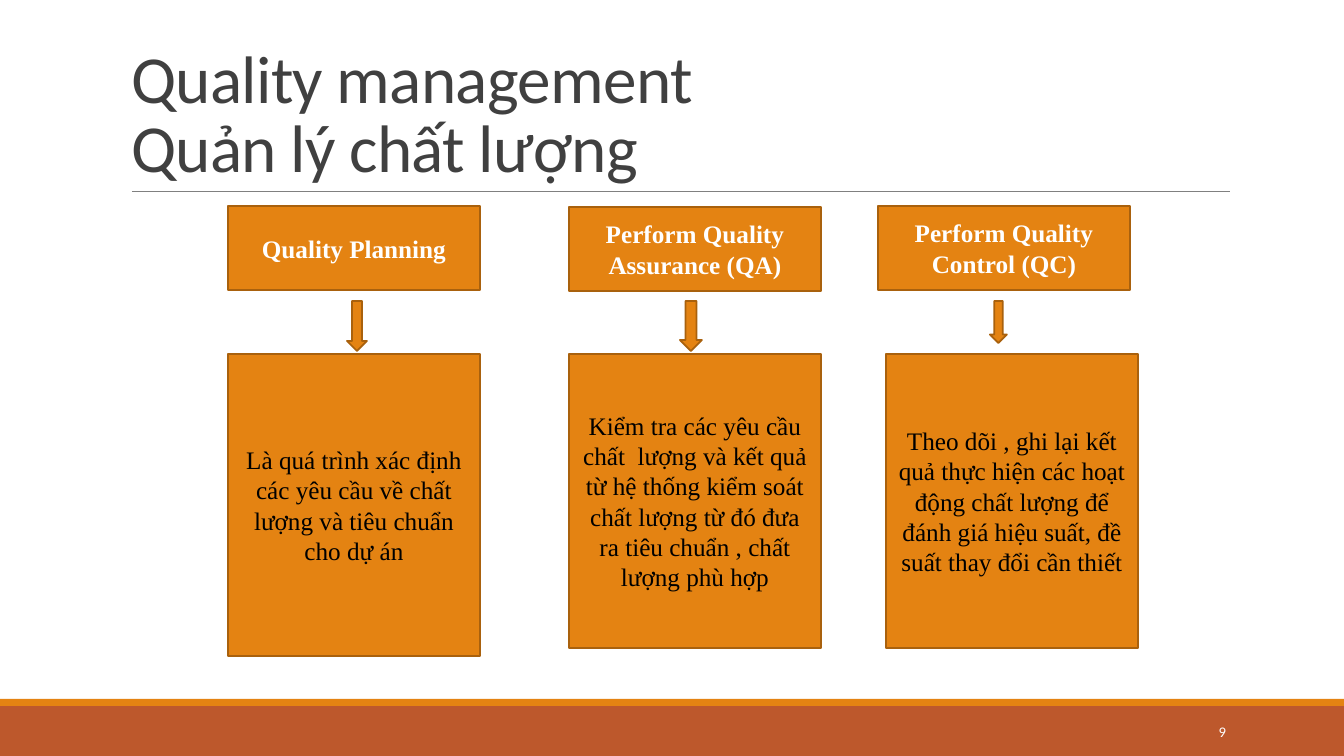
import pptx
import pptx.util
import pptx.dml.color
import pptx.enum.shapes
import pptx.enum.text
import pptx.oxml.ns
import lxml.etree

RGBColor = pptx.dml.color.RGBColor
ORANGE = RGBColor(0xE4, 0x83, 0x12)
DARK_ORANGE = RGBColor(0xA9, 0x61, 0x0D)
RUST = RGBColor(0xBD, 0x58, 0x2C)
GRAY = RGBColor(0x80, 0x80, 0x80)
CHARCOAL = RGBColor(0x40, 0x40, 0x40)
WHITE = RGBColor(0xFF, 0xFF, 0xFF)
BLACK = RGBColor(0, 0, 0)

SHAPE = pptx.enum.shapes.MSO_SHAPE
ALIGN = pptx.enum.text.PP_ALIGN
ANCHOR = pptx.enum.text.MSO_ANCHOR

TITLE = "Quality management \vQuản lý chất lượng"
PAGE_NUMBER = "9"
# Boxes and arrows are (left, top, width, height) in px.
PROCESSES = [
    {
        "name": "Quality Planning",
        "description": "Là quá trình xác định các yêu cầu về chất lượng và tiêu chuẩn cho dự án",
        "header": (228, 206, 252, 84),
        "arrow": (347, 301, 20, 50),
        "body": (228, 354, 252, 302),
    },
    {
        "name": "Perform Quality Assurance (QA)",
        "description": "Kiểm tra các yêu cầu chất  lượng và kết quả từ hệ thống kiểm soát "
                       "chất lượng từ đó đưa ra tiêu chuẩn , chất lượng phù hợp",
        "header": (569, 207, 252, 84),
        "arrow": (680, 301, 22, 50),
        "body": (569, 354, 252, 294),
    },
    {
        "name": "Perform Quality Control (QC)",
        "description": "Theo dõi , ghi lại kết quả thực hiện các hoạt động chất lượng để "
                       "đánh giá hiệu suất, đề suất thay đổi cần thiết",
        "header": (878, 206, 252, 84),
        "arrow": (990, 301, 17, 42),
        "body": (886, 354, 252, 294),
    },
]
SLIDE_WIDTH, SLIDE_HEIGHT = 1344, 756
BANDS = [((0, 706, SLIDE_WIDTH, 50), RUST), ((0, 699, SLIDE_WIDTH, 7), ORANGE)]
TITLE_BOX = (121, 31, 1109, 160)
PAGE_NUMBER_BOX = (1092, 712, 144, 40)
RULE = (132, 191, 1230, 191)

HEADER_FONT = {"name": "Times New Roman", "size": pptx.util.Pt(18), "bold": True}
BODY_FONT = {"name": "Times New Roman", "size": pptx.util.Pt(18), "bold": False}
TITLE_FONT = {"name": "Calibri", "size": pptx.util.Pt(48)}
PAGE_NUMBER_FONT = {"name": "Calibri", "size": pptx.util.Pt(10.5)}


def px(lengths):
    """Turn px lengths into EMU, at 100.8 px to the inch."""
    return [pptx.util.Inches(length / 100.8) for length in lengths]


def write(shape, text, font, color, alignment, anchor):
    frame = shape.text_frame
    frame.word_wrap = True
    frame.auto_size = pptx.enum.text.MSO_AUTO_SIZE.NONE
    frame.vertical_anchor = anchor
    frame.text = text
    paragraph = frame.paragraphs[0]
    paragraph.alignment = alignment
    for run in paragraph.runs:
        for attribute, value in font.items():
            setattr(run.font, attribute, value)
        run.font.color.rgb = color
    return paragraph


def add_filled(slide, preset, box, fill, outlined=True):
    shape = slide.shapes.add_shape(preset, *px(box))
    shape.shadow.inherit = False
    shape.fill.solid()
    shape.fill.fore_color.rgb = fill
    if outlined:
        shape.line.color.rgb = DARK_ORANGE
        shape.line.width = pptx.util.Pt(1.25)
    else:
        shape.line.fill.background()
    return shape


def add_frame(slide):
    """Add the footer bands, the page number and the rule under the title."""
    for box, color in BANDS:
        add_filled(slide, SHAPE.RECTANGLE, box, color, outlined=False)
    rule = slide.shapes.add_connector(pptx.enum.shapes.MSO_CONNECTOR.STRAIGHT, *px(RULE))
    rule.line.color.rgb = GRAY
    rule.line.width = pptx.util.Pt(0.5)
    properties = rule._element.spPr
    lxml.etree.SubElement(properties, pptx.oxml.ns.qn("a:effectLst"))
    number = slide.shapes.add_textbox(*px(PAGE_NUMBER_BOX))
    write(number, PAGE_NUMBER, PAGE_NUMBER_FONT, WHITE, ALIGN.RIGHT, ANCHOR.MIDDLE)


def add_title(slide):
    title = slide.shapes.title
    title.left, title.top, title.width, title.height = px(TITLE_BOX)
    paragraph = write(title, TITLE, TITLE_FONT, CHARCOAL, ALIGN.LEFT, ANCHOR.BOTTOM)
    paragraph.line_spacing = 0.85
    for run in paragraph.runs:
        run.font._element.set("spc", "-50")


def add_process(slide, process):
    header = add_filled(slide, SHAPE.RECTANGLE, process["header"], ORANGE)
    write(header, process["name"], HEADER_FONT, WHITE, ALIGN.CENTER, ANCHOR.MIDDLE)
    add_filled(slide, SHAPE.DOWN_ARROW, process["arrow"], ORANGE)
    body = add_filled(slide, SHAPE.RECTANGLE, process["body"], ORANGE)
    write(body, process["description"], BODY_FONT, BLACK, ALIGN.CENTER, ANCHOR.MIDDLE)


def main():
    presentation = pptx.Presentation()
    presentation.slide_width, presentation.slide_height = px((SLIDE_WIDTH, SLIDE_HEIGHT))
    slide = presentation.slides.add_slide(presentation.slide_layouts[5])
    add_frame(slide)
    add_title(slide)
    for process in PROCESSES:
        add_process(slide, process)
    presentation.save("out.pptx")


if __name__ == "__main__":
    main()
